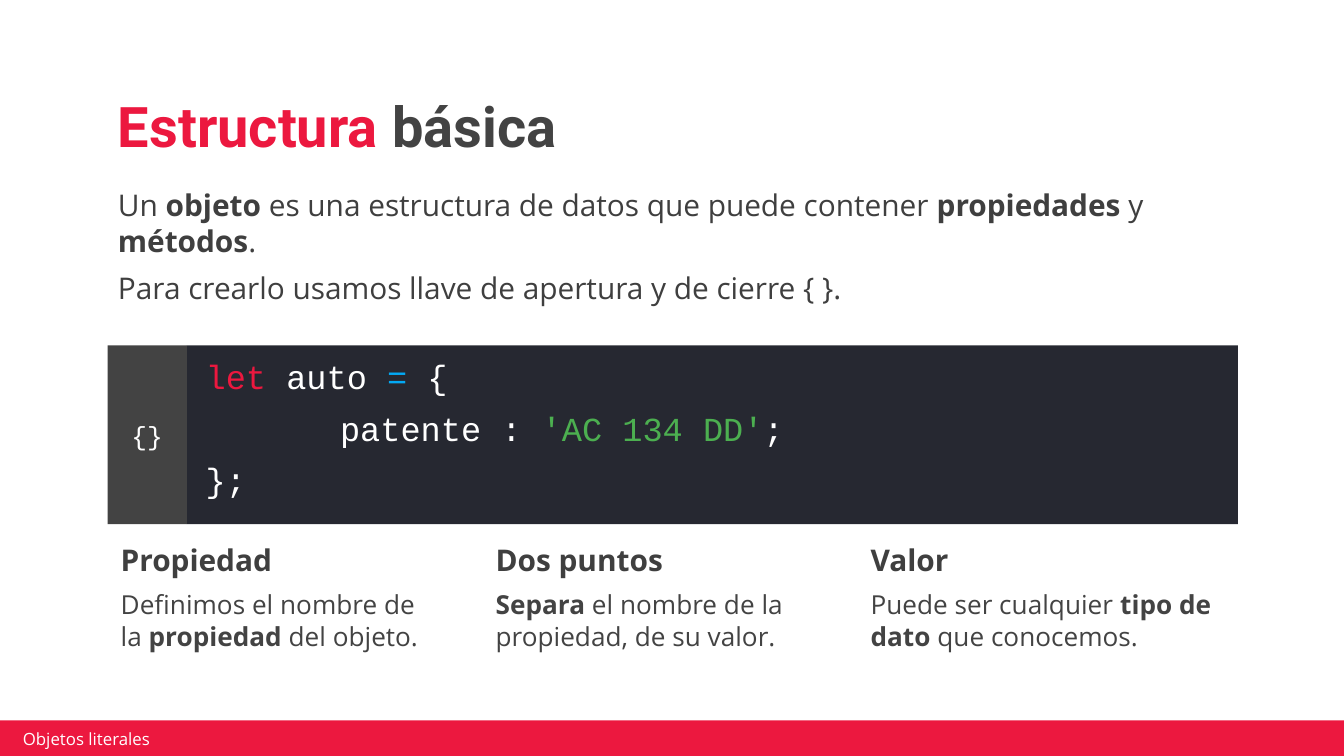
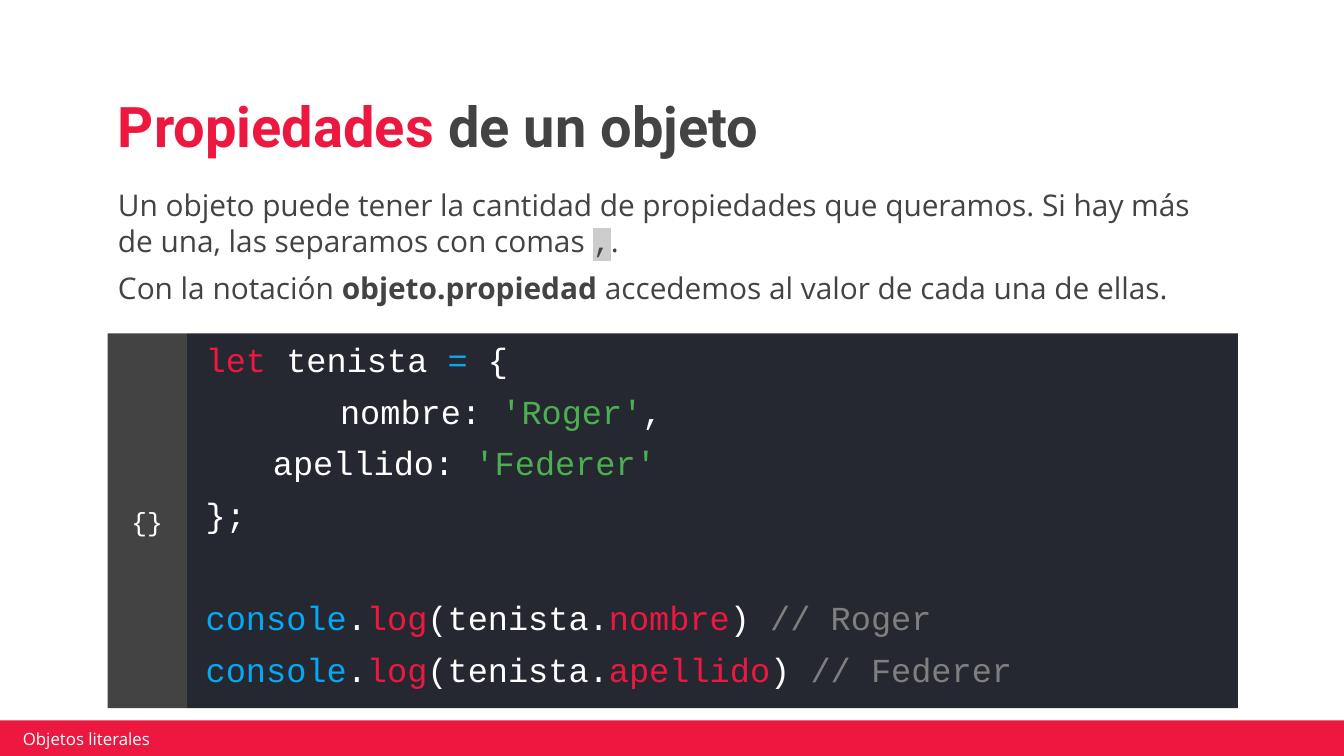
"""Builds two slides on the structure and properties of JavaScript object literals."""
from lxml import etree
from pptx import Presentation
from pptx import util as u
from pptx.dml import color
from pptx.enum import shapes, text
from pptx.oxml import ns

COLORS = {
    "red": "EC183F", "gray": "434343", "ink": "3F3F3F", "code": "262831",
    "white": "FFFFFF", "blue": "03A9F4", "green": "4CAF50",
    "comment": "7F7F7F", "highlight": "CCCCCC",
}
BODY, CODE, TITLE = "Open Sans", "Courier New", "Roboto"
PADDING = (0.1, 0.1, 0.1, 0.1)
COLUMN_LEFT, COLUMN_STEP = 0.8, 2.79


def add_box(container, bounds, fill=None, anchor=text.MSO_ANCHOR.TOP, padding=PADDING):
    bounds = [u.Inches(value) for value in bounds]
    if fill:
        shape = container.add_shape(shapes.MSO_SHAPE.RECTANGLE, *bounds)
        shape.shadow.inherit = False
        shape.fill.solid()
        shape.fill.fore_color.rgb = color.RGBColor.from_string(COLORS[fill])
        shape.line.fill.background()
    else:
        shape = container.add_textbox(*bounds)
    frame = shape.text_frame
    frame.word_wrap = True
    frame.vertical_anchor = anchor
    frame.margin_left, frame.margin_top, frame.margin_right, frame.margin_bottom = [
        u.Inches(value) for value in padding]
    return frame


def add_paragraph(frame, runs, font, size, ink, bold=False, before=0,
                  align=text.PP_ALIGN.LEFT):
    paragraph = frame.paragraphs[0]
    if paragraph.runs:
        paragraph = frame.add_paragraph()
    paragraph.alignment = align
    paragraph.space_before = u.Pt(before)
    paragraph.font.name = font
    paragraph.font.size = u.Pt(size)
    paragraph.font.bold = bold
    paragraph.font.color.rgb = color.RGBColor.from_string(COLORS[ink])
    for content, mark in runs:
        for index, line in enumerate(content.split("\n")):
            if index:
                paragraph.add_line_break()
            run = paragraph.add_run()
            run.text = line
            if mark == "bold":
                run.font.bold = True
            elif mark == "highlight":
                properties = run._r.get_or_add_rPr()
                highlight = etree.SubElement(properties, ns.qn("a:highlight"))
                etree.SubElement(highlight, ns.qn("a:srgbClr"), val=COLORS[mark])
                run.font.name = CODE
            elif mark:
                run.font.color.rgb = color.RGBColor.from_string(COLORS[mark])
    return paragraph


lessons = [
    {
        "title": ("Estructura", " básica"),
        "ink": "ink",
        "intro": [
            [("Un ", None), ("objeto", "bold"),
             (" es una estructura de datos que puede contener ", None),
             ("propiedades", "bold"), (" y ", None), ("métodos", "bold"), (".", None)],
            [("Para crearlo usamos llave de apertura y de cierre { }.", None)],
        ],
        "panel": (2.57, 1.33),
        "code": [
            (6, 0, [("let", "red"), (" auto ", "white"), ("=", "blue"), (" {", "white")]),
            (6, 0.5, [("\tpatente : ", "white"), ("'AC 134 DD'", "green"), (";", "white")]),
            (6, 0, [("};", "white")]),
        ],
        "columns": [
            ("Propiedad", [("Definimos el nombre de \nla ", None), ("propiedad ", "bold"),
                           ("del objeto.", None)]),
            ("Dos puntos", [("Separa", "bold"),
                            (" el nombre de la propiedad, de su valor.", None)]),
            ("Valor", [("Puede ser cualquier ", None), ("tipo de dato", "bold"),
                       (" que conocemos.", None)]),
        ],
    },
    {
        "title": ("Propiedades", " de un objeto"),
        "ink": "gray",
        "intro": [
            [("Un objeto puede tener la cantidad de propiedades que queramos. "
              "Si hay más de una, las separamos con comas ", None),
             (",", "highlight"), (".", None)],
            [("Con la notación ", None), ("objeto.propiedad", "bold"),
             (" accedemos al valor de cada una de ellas.", None)],
        ],
        "panel": (2.48, 2.79),
        "code": [
            (6, 0, [("let", "red"), (" tenista ", "white"), ("=", "blue"), (" {", "white")]),
            (6, 0.5, [("\tnombre: ", "white"), ("'Roger'", "green"), (",", "white")]),
            (6, 0.5, [("apellido: ", "white"), ("'Federer'", "green")]),
            (6, 0, [("};", "white")]),
        ] + [
            (before, 0, [("console", "blue"), (".", "white"), ("log", "red"),
                         ("(tenista.", "white"), (key, "red"), (") ", "white"),
                         ("// " + value, "comment")])
            for before, key, value in [(34, "nombre", "Roger"), (6, "apellido", "Federer")]
        ],
        "columns": [],
    },
]

presentation = Presentation()
presentation.slide_width = u.Inches(10)
presentation.slide_height = u.Inches(5.625)

for lesson in lessons:
    slide = presentation.slides.add_slide(presentation.slide_layouts[6])

    title = add_box(slide.shapes, (0.78, 0.6, 8.43, 0.69), anchor=text.MSO_ANCHOR.BOTTOM)
    accent, rest = lesson["title"]
    paragraph = add_paragraph(title, [(accent, "red"), (rest, "gray")],
                              TITLE, 30, "gray", bold=True)
    paragraph.line_spacing = 0.9

    intro = add_box(slide.shapes, (0.78, 1.29, 8.43, 0.53))
    for runs in lesson["intro"]:
        add_paragraph(intro, runs, BODY, 16, lesson["ink"], before=6)

    top, height = lesson["panel"]
    panel = slide.shapes.add_group_shape().shapes
    code = add_box(panel, (1.39, top, 7.82, height), "code",
                   text.MSO_ANCHOR.MIDDLE, (0.14, 0, 0.1, 0.1))
    for before, indent, runs in lesson["code"]:
        paragraph = add_paragraph(code, runs, CODE, 18, "white", before=before)
        if indent:
            properties = paragraph._p.get_or_add_pPr()
            properties.set("marL", "0")
            properties.set("indent", str(u.Inches(indent)))
    badge = add_box(panel, (0.8, top, 0.59, height), "gray", text.MSO_ANCHOR.MIDDLE)
    add_paragraph(badge, [("{}", None)], CODE, 14, "white", align=text.PP_ALIGN.CENTER)

    for index, (heading, runs) in enumerate(lesson["columns"]):
        column = add_box(slide.shapes,
                         (COLUMN_LEFT + index * COLUMN_STEP, 3.93, 2.84, 1.27))
        add_paragraph(column, [(heading, None)], BODY, 16, "ink", bold=True, before=6)
        add_paragraph(column, runs, BODY, 14, "gray", before=6)

    add_box(slide.shapes, (-0.02, 5.36, 10.03, 0.27), "red")
    footer = add_box(slide.shapes, (0.12, 5.42, 2.39, 0.15),
                     anchor=text.MSO_ANCHOR.MIDDLE, padding=(0.05, 0.02, 0.05, 0.02))
    add_paragraph(footer, [("Objetos literales", None)], BODY, 9, "white")

presentation.save("out.pptx")
